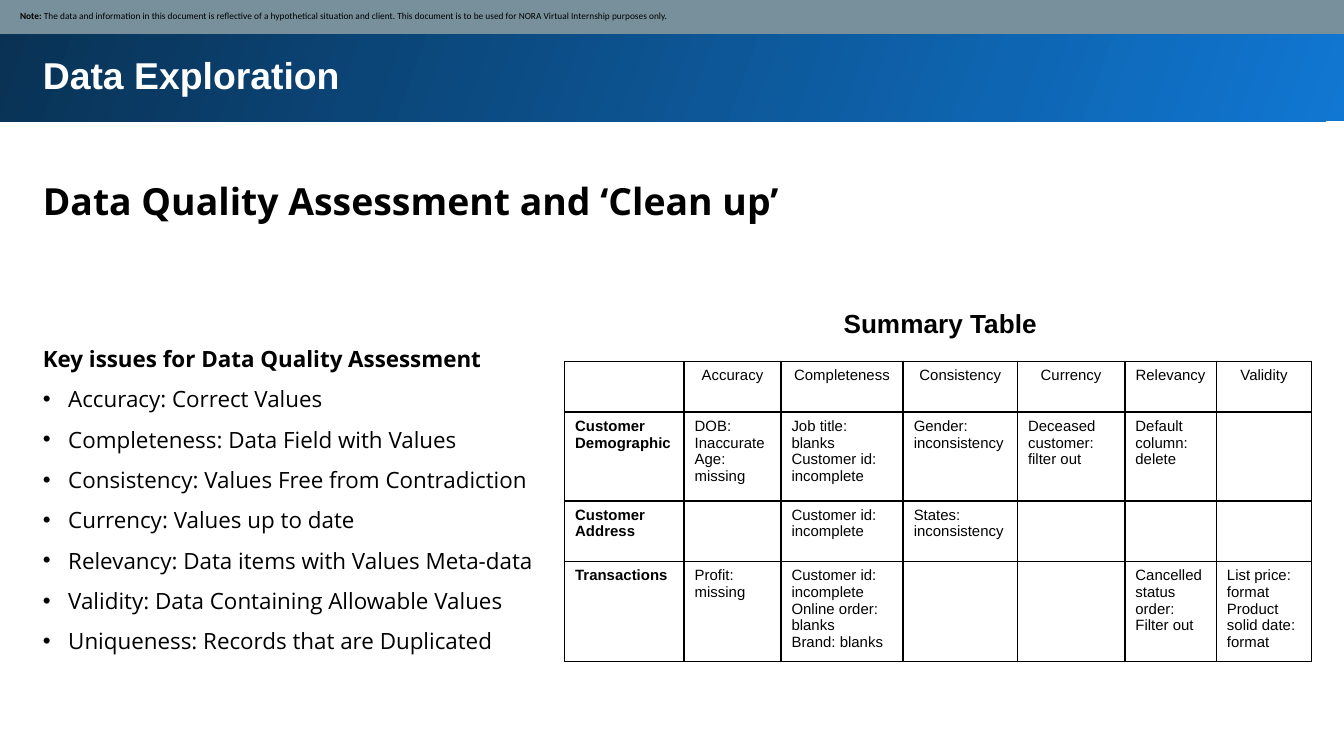
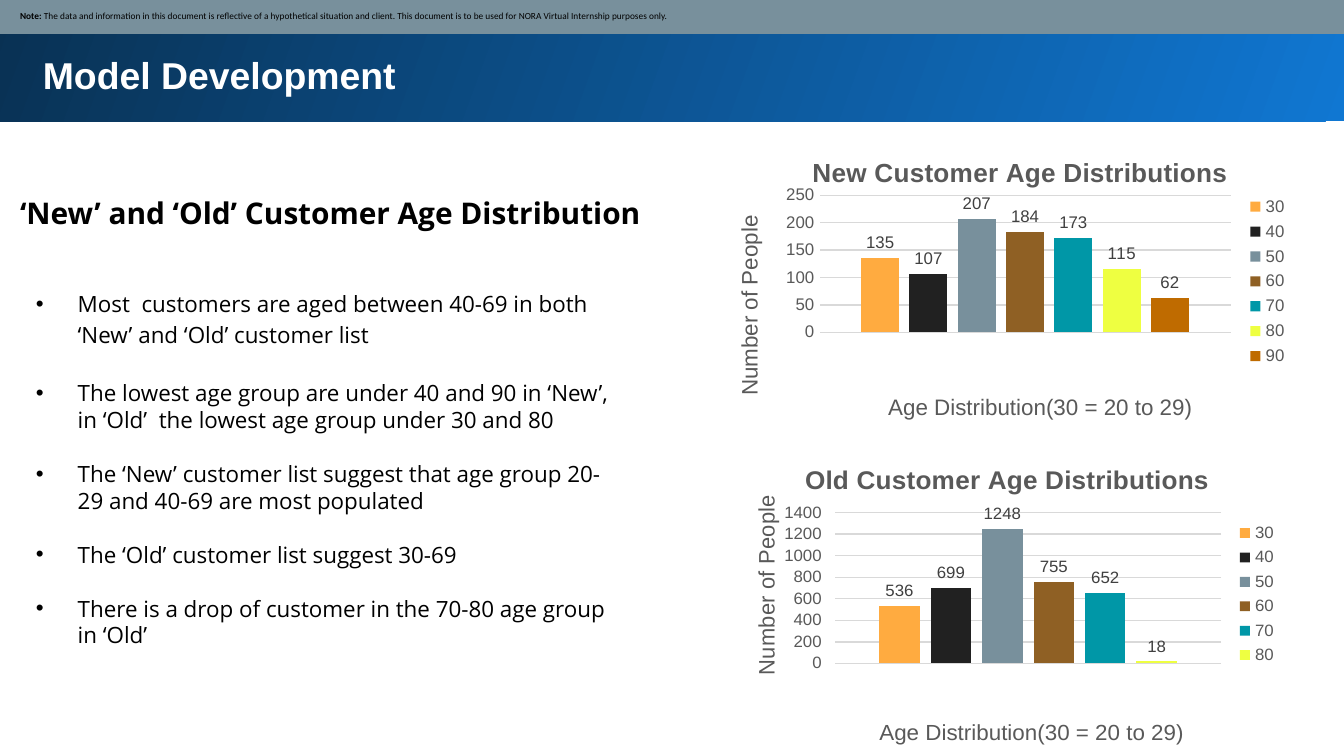
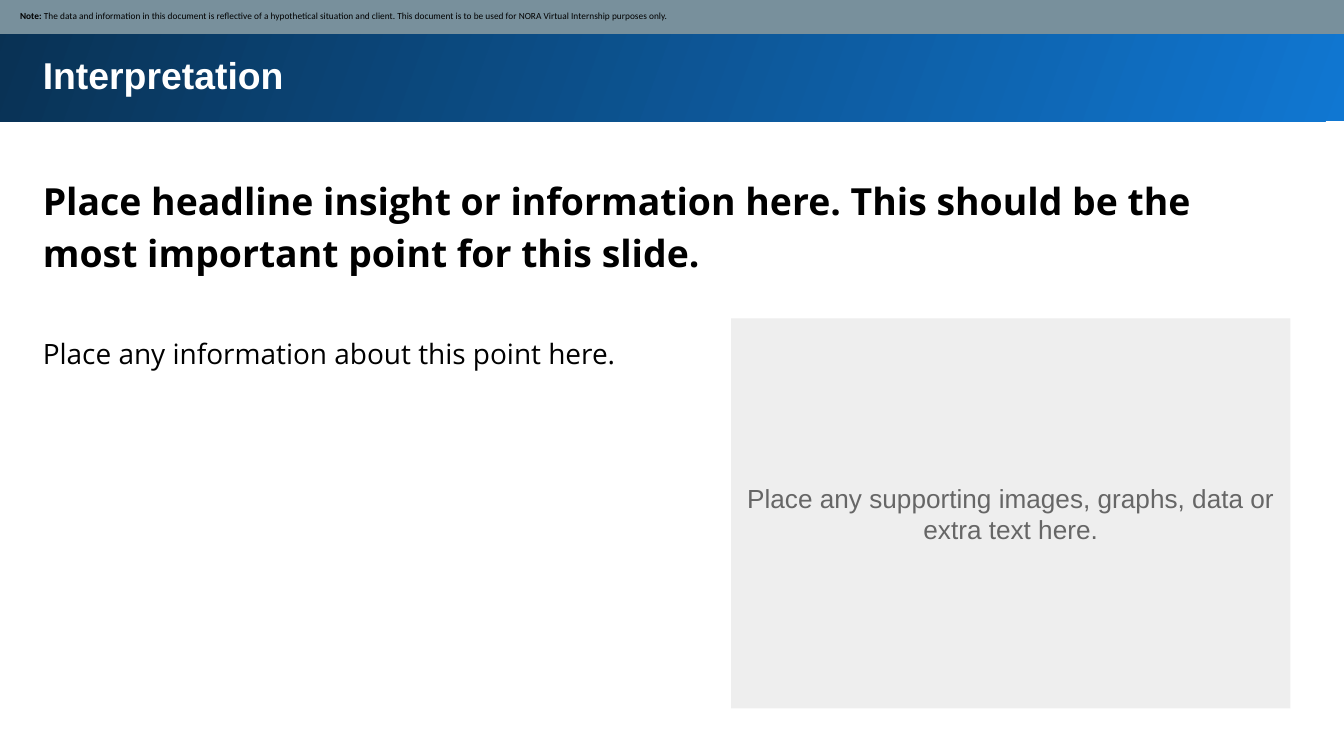
from dataclasses import dataclass

from lxml import etree
from pptx import Presentation
from pptx import util as u
from pptx.chart import data as cd
from pptx.dml.color import RGBColor
from pptx.enum import chart as ch
from pptx.enum import shapes, text
from pptx.oxml import ns


@dataclass(frozen=True)
class Theme:
    black: str = "000000"
    white: str = "FFFFFF"
    note_band: str = "78909C"
    title_light: str = "1077D2"
    title_dark: str = "093153"
    panel: str = "EEEEEE"
    panel_text: str = "666666"
    chart_text: str = "595959"
    label_text: str = "404040"
    grid: str = "D9D9D9"
    series: tuple = ("FFAB40", "212121", "78909C", "8F6024", "0097A7", "EEFF41", "BF6B00")
    head: str = "Arial"
    body: str = "Open Sans"
    note: str = "Calibri"
    title_size: float = 20
    subtitle_size: float = 16
    lead_size: float = 15
    caption_size: float = 14
    body_size: float = 12
    tick_size: float = 9
    table_size: float = 8
    note_size: float = 5
    blank_line: float = 14.5


T = Theme()
CENTER = text.PP_ALIGN.CENTER
MARGIN = 0.56
CONTENT_W = 23.8
HEADLINE = (MARGIN, 3, CONTENT_W, 1.42)
NOTE = ("Note: ", "The data and information in this document is reflective of a hypothetical "
        "situation and client. This document is to be used for NORA Virtual Internship purposes only.")

ISSUES = [
    "Accuracy: Correct Values",
    "Completeness: Data Field with Values",
    "Consistency: Values Free from Contradiction",
    "Currency: Values up to date",
    "Relevancy: Data items with Values Meta-data",
    "Validity: Data Containing Allowable Values",
    "Uniqueness: Records that are Duplicated",
]
SUMMARY_COLS = [2.26, 1.83, 2.31, 2.16, 2.03, 1.73, 1.8]
SUMMARY_ROWS = [0.94, 1.68, 1.14, 1.89]
SUMMARY = [
    ["", "Accuracy", "Completeness", "Consistency", "Currency", "Relevancy", "Validity"],
    ["Customer Demographic", "DOB:\nInaccurate\nAge:\nmissing",
     "Job title: blanks\nCustomer id:\nincomplete", "Gender:\ninconsistency",
     "Deceased\ncustomer:\nfilter out", "Default\ncolumn:\ndelete", ""],
    ["Customer Address", "", "Customer id:\nincomplete", "States:\ninconsistency", "", "", ""],
    ["Transactions", "Profit:\nmissing",
     "Customer id:\nincomplete\nOnline order:\nblanks\nBrand: blanks", "", "",
     "Cancelled\nstatus order:\nFilter out", "List price:\nformat\nProduct solid date:\nformat"],
]
FINDINGS = [
    "Most  customers are aged between 40-69 in both ‘New’ and ‘Old’ customer list",
    "The lowest age group are under 40 and 90 in ‘New’, in ‘Old’  the lowest age group under 30 and 80",
    "The ‘New’ customer list suggest that age group 20-29 and 40-69 are most populated",
    "The ‘Old’ customer list suggest 30-69",
    "There is a drop of customer in the 70-80 age group in ‘Old’",
]


def cm(box):
    return [u.Cm(v) for v in box]


def style(font, size, color, name=T.head, bold=False):
    font.size = u.Pt(size)
    font.name = name
    font.bold = bold
    font.color.rgb = RGBColor.from_string(color)


def add_text(parent, box, lines, size, color=T.black, name=T.body, bold=False,
             spacing=1.0, align=None, anchor=text.MSO_ANCHOR.TOP):
    sp = parent.add_textbox(*cm(box))
    tf = sp.text_frame
    tf.text = "\n".join(lines)
    tf.word_wrap = True
    tf.auto_size = text.MSO_AUTO_SIZE.SHAPE_TO_FIT_TEXT
    tf.vertical_anchor = anchor
    tf.margin_left = tf.margin_right = tf.margin_top = tf.margin_bottom = u.Cm(0.25)
    for p in tf.paragraphs:
        p.line_spacing = spacing
        p.alignment = align
        for r in p.runs:
            style(r.font, size, color, name, bold)
    return tf


def add_bullet(p, indent):
    pPr = p._p.get_or_add_pPr()
    pPr.set("marL", str(u.Cm(indent)))
    pPr.set("indent", str(-u.Cm(indent)))
    etree.SubElement(pPr, ns.qn("a:buFont")).set("typeface", T.head)
    etree.SubElement(pPr, ns.qn("a:buChar")).set("char", "•")


def add_rect(parent, box):
    sp = parent.add_shape(shapes.MSO_SHAPE.RECTANGLE, *cm(box))
    sp.shadow.inherit = False
    sp.line.fill.background()
    return sp


def fill_solid(sp, color):
    sp.fill.solid()
    sp.fill.fore_color.rgb = RGBColor.from_string(color)


def add_title_band(s, box, title):
    x, y, w, h = box
    band = add_rect(s.shapes, box)
    band.fill.gradient()
    band.fill.gradient_angle = 160
    for stop, color in zip(band.fill.gradient_stops, (T.title_light, T.title_dark)):
        stop.color.rgb = RGBColor.from_string(color)
    add_text(s.shapes, (x + 0.61, y + 0.79, CONTENT_W, 1.3), [title], T.title_size,
             T.white, T.head, True)


def add_note_band(s, box):
    band = add_rect(s.shapes, box)
    fill_solid(band, T.note_band)
    tf = band.text_frame
    tf.word_wrap = True
    tf.vertical_anchor = text.MSO_ANCHOR.MIDDLE
    tf.margin_left = u.Cm(0.41)
    tf.margin_right = tf.margin_top = tf.margin_bottom = u.Cm(0.13)
    p = tf.paragraphs[0]
    p.alignment = text.PP_ALIGN.LEFT
    for part, bold in zip(NOTE, (True, False)):
        r = p.add_run()
        r.text = part
        style(r.font, T.note_size, T.black, T.note, bold)


def add_slide(prs, title):
    s = prs.slides.add_slide(prs.slide_layouts[6])
    add_title_band(s, (-0.05, -0.05, 25.53, 2.34), title)
    add_note_band(s, (-0.03, -0.03, 25.48, 0.67))
    return s


def add_headline(s, box, line, size=T.title_size):
    add_text(s.shapes, box, [line], size, bold=True, spacing=1.15)


def add_issues(s, box):
    tf = add_text(s.shapes, box, ["Key issues for Data Quality Assessment"] + ISSUES,
                  T.body_size, spacing=1.5)
    heading, *items = tf.paragraphs
    heading.runs[0].font.bold = True
    for p in items:
        add_bullet(p, 0.48)


def add_borders(cell):
    tcPr = cell._tc.get_or_add_tcPr()
    for i, side in enumerate(("lnL", "lnR", "lnT", "lnB")):
        ln = etree.Element(ns.qn(f"a:{side}"), w=str(u.Pt(1)))
        fill = etree.SubElement(ln, ns.qn("a:solidFill"))
        etree.SubElement(fill, ns.qn("a:srgbClr")).set("val", T.black)
        tcPr.insert(i, ln)


def add_summary(s, box):
    x, y, w, h = box
    tf = add_text(s.shapes, (x + 0.71, y, 12.78, 1.04), ["Summary Table"], T.caption_size,
                  name=T.head, bold=True, spacing=1.5, align=CENTER)
    tf.margin_top = tf.margin_bottom = u.Cm(0.13)
    top = 1.45
    table = s.shapes.add_table(len(SUMMARY), len(SUMMARY[0]),
                               *cm((x, y + top, w, h - top))).table
    table.first_row = table.horz_banding = False
    for col, width in zip(table.columns, SUMMARY_COLS):
        col.width = u.Cm(width)
    for i, (row, height) in enumerate(zip(SUMMARY, SUMMARY_ROWS)):
        table.rows[i].height = u.Cm(height)
        for j, words in enumerate(row):
            cell = table.cell(i, j)
            cell.fill.background()
            add_borders(cell)
            cell.margin_left = cell.margin_right = u.Cm(0.2)
            cell.margin_top = cell.margin_bottom = u.Cm(0.1)
            cell.text_frame.text = words
            for p in cell.text_frame.paragraphs:
                p.alignment = CENTER if i == 0 else None
                for r in p.runs:
                    style(r.font, T.table_size, T.black, bold=j == 0)


def add_findings(s, box):
    tf = add_text(s.shapes, box, FINDINGS, T.body_size)
    tf.paragraphs[0].line_spacing = 1.15
    for p in tf.paragraphs:
        p.space_after = u.Pt(T.blank_line * p.line_spacing)
        add_bullet(p, 0.79)


def set_layout(element, index, **fractions):
    for old in element.findall(ns.qn("c:layout")):
        element.remove(old)
    layout = etree.Element(ns.qn("c:layout"))
    manual = etree.SubElement(layout, ns.qn("c:manualLayout"))
    if "w" in fractions:
        etree.SubElement(manual, ns.qn("c:layoutTarget")).set("val", "inner")
    for axis in "xy":
        etree.SubElement(manual, ns.qn(f"c:{axis}Mode")).set("val", "edge")
    for key, value in fractions.items():
        etree.SubElement(manual, ns.qn(f"c:{key}")).set("val", str(value))
    element.insert(index, layout)


def set_chart_title(title, words, size, place, bold=False):
    tf = title.text_frame
    tf.text = words
    style(tf.paragraphs[0].runs[0].font, size, T.chart_text, bold=bold)
    set_layout(title._element, 1, x=place[0], y=place[1])
    return tf


def add_age_chart(s, box, title, counts, tick, plot_box, title_at, people_at, ages_at):
    data = cd.CategoryChartData()
    data.categories = ["1"]
    for i, count in enumerate(counts):
        data.add_series(str(30 + 10 * i), [count])
    chart = s.shapes.add_chart(ch.XL_CHART_TYPE.COLUMN_CLUSTERED, *cm(box), data).chart
    style(chart.font, T.tick_size, T.chart_text)
    set_chart_title(chart.chart_title, title, T.caption_size, title_at, True)

    chart.has_legend = True
    chart.legend.position = ch.XL_LEGEND_POSITION.RIGHT
    chart.legend.include_in_layout = False
    style(chart.legend.font, T.tick_size, T.chart_text)

    ages, people = chart.category_axis, chart.value_axis
    ages.visible = False
    set_chart_title(ages.axis_title, "Age Distribution(30 = 20 to 29)", T.body_size, ages_at)
    tf = set_chart_title(people.axis_title, "Number of People", T.body_size, people_at)
    tf._txBody.bodyPr.set("rot", "-5400000")
    tf._txBody.bodyPr.set("vert", "horz")
    people.major_tick_mark = tick
    people.format.line.fill.background()
    style(people.tick_labels.font, T.tick_size, T.chart_text)
    grid = people.major_gridlines.format.line
    grid.width = u.Pt(0.75)
    grid.color.rgb = RGBColor.from_string(T.grid)

    plot = chart.plots[0]
    plot.gap_width = 219
    plot.overlap = -27
    plot.vary_by_categories = False
    for series, color in zip(plot.series, T.series):
        fill_solid(series.format, color)
        labels = series.data_labels
        labels.show_value = True
        labels.position = ch.XL_LABEL_POSITION.OUTSIDE_END
        style(labels.font, T.tick_size, T.label_text)
    set_layout(chart._chartSpace.chart.plotArea, 0, **dict(zip("xywh", plot_box)))


def add_support_panel(s, box):
    x, y, w, h = box
    group = s.shapes.add_group_shape()
    fill_solid(add_rect(group.shapes, box), T.panel)
    text_h = 1.63
    add_text(group.shapes, (x, y + (h - text_h) / 2, w, text_h),
             ["Place any supporting images, graphs, data or extra text here."],
             T.caption_size, T.panel_text, T.head, align=CENTER,
             anchor=text.MSO_ANCHOR.MIDDLE)


def build_exploration(prs):
    s = add_slide(prs, "Data Exploration")
    add_headline(s, HEADLINE, "Data Quality Assessment and ‘Clean up’")
    add_issues(s, (MARGIN, 6.02, 11.48, 6.58))
    add_summary(s, (10.67, 5.38, sum(SUMMARY_COLS), 1.45 + sum(SUMMARY_ROWS)))


def build_model(prs):
    s = add_slide(prs, "Model Development")
    add_headline(s, (0.13, 3.33, 13.5, 1.2), "‘New’ and ‘Old’ Customer Age Distribution",
                 T.subtitle_size)
    add_findings(s, (0.43, 5.16, 11.48, 8.28))
    add_age_chart(s, (13.49, 2.31, 11.1, 6.02), "New Customer Age Distributions",
                  [135, 107, 207, 184, 173, 115, 62], ch.XL_TICK_MARK.NONE,
                  (0.18, 0.23, 0.7, 0.43), (0.16, 0.09), (0.03, 0.28), (0.29, 0.84))
    add_age_chart(s, (13.49, 8.38, 10.9, 5.82), "Old Customer Age Distributions",
                  [536, 699, 1248, 755, 652, 18], ch.XL_TICK_MARK.OUTSIDE,
                  (0.21, 0.23, 0.67, 0.5), (0.15, 0.05), (0.06, 0.17), (0.28, 0.9))


def build_interpretation(prs):
    s = add_slide(prs, "Interpretation")
    add_headline(s, HEADLINE, "Place headline insight or information here. "
                 "This should be the most important point for this slide.")
    add_text(s.shapes, (MARGIN, 6.02, 11.48, 1.22),
             ["Place any information about this point here."], T.lead_size, spacing=1.15)
    add_support_panel(s, (13.82, 6.02, 10.57, 7.37))


def main():
    prs = Presentation()
    prs.slide_width = u.Cm(25.4)
    prs.slide_height = u.Cm(14.29)
    build_exploration(prs)
    build_model(prs)
    build_interpretation(prs)
    prs.save("out.pptx")


if __name__ == "__main__":
    main()
